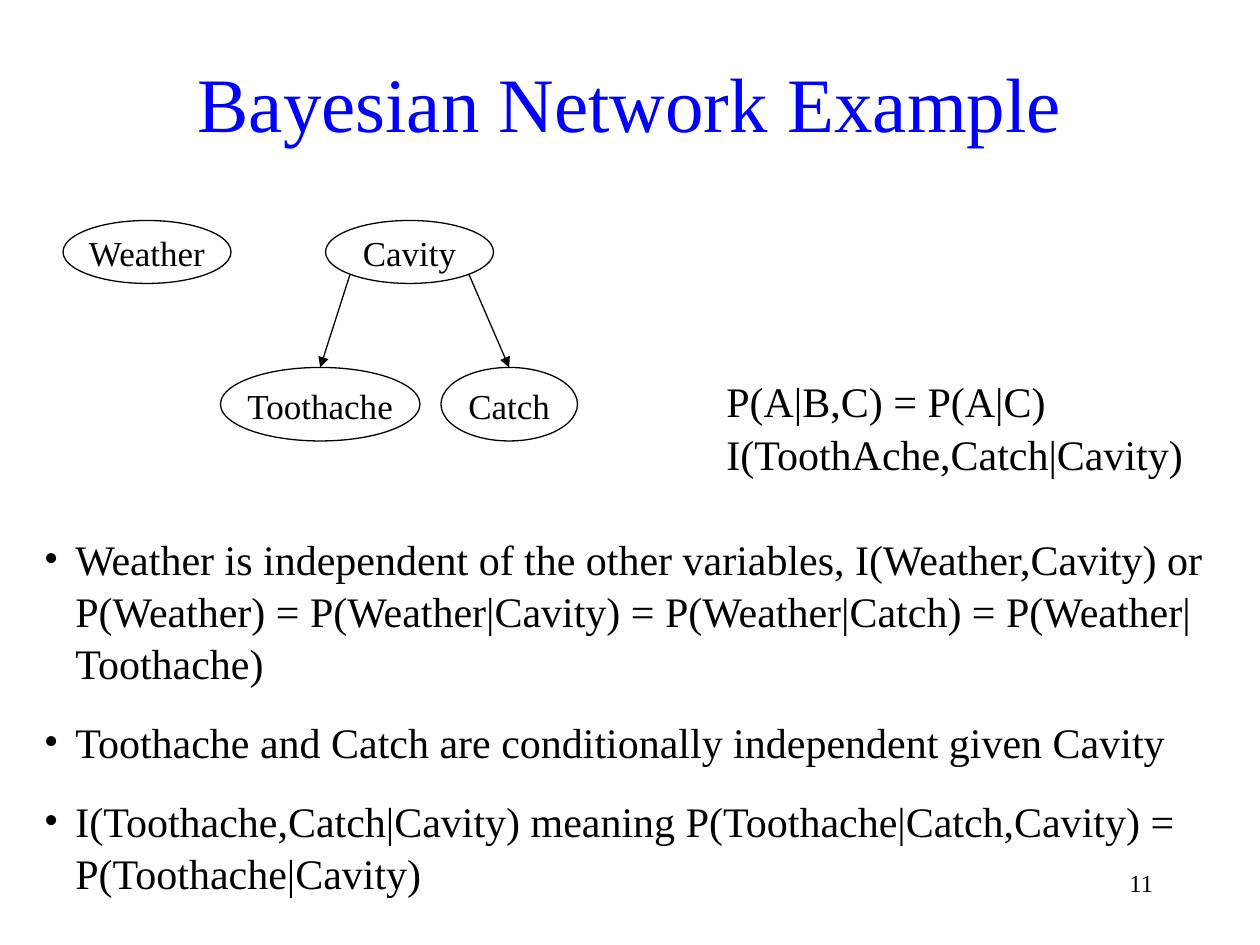
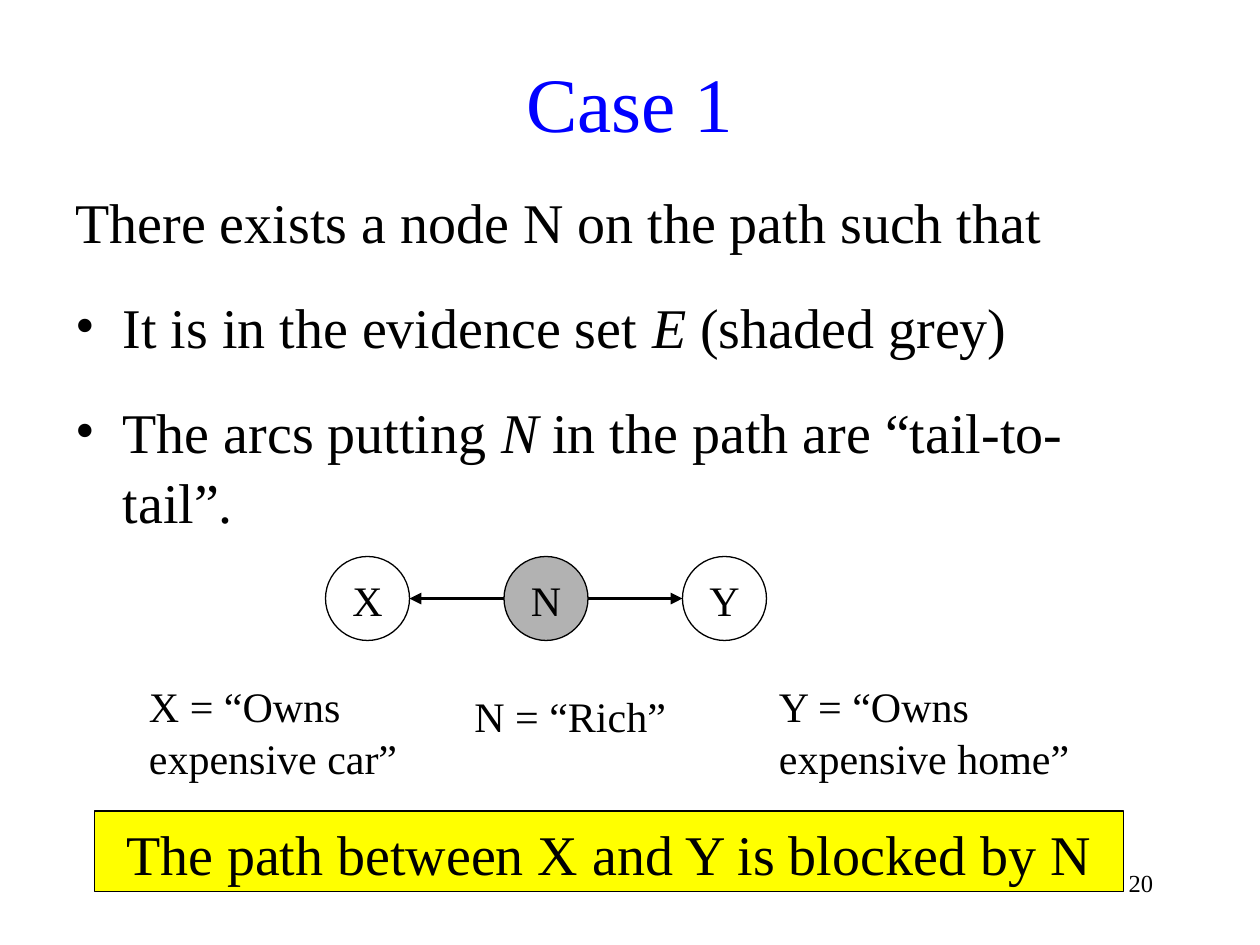
from dataclasses import dataclass
from math import sqrt

from lxml import etree
from pptx import Presentation
from pptx.dml.color import RGBColor
from pptx.enum import shapes, text
from pptx.oxml import ns
from pptx.util import Pt


@dataclass(frozen=True)
class Theme:
    font: str = "Times New Roman"
    ink: str = "000000"
    title: str = "0000FF"
    evidence: str = "B2B2B2"
    banner: str = "FFFF00"
    title_size: int = 44
    large: int = 32
    medium: int = 24
    small: int = 20
    number: int = 14
    leading: float = 1.04
    thin: float = 0.74
    thick: float = 2.24


T = Theme()
LEFT, CENTER, RIGHT = text.PP_ALIGN.LEFT, text.PP_ALIGN.CENTER, text.PP_ALIGN.RIGHT
TOP, MIDDLE = text.MSO_ANCHOR.TOP, text.MSO_ANCHOR.MIDDLE


def rgb(color):
    return RGBColor.from_string(color)


def fill_frame(sp, paragraphs, size, color=T.ink, align=LEFT, anchor=TOP,
               before=0, wrap=True):
    tf = sp.text_frame
    tf.word_wrap = wrap
    tf.vertical_anchor = anchor
    for i, runs in enumerate(paragraphs):
        p = tf.paragraphs[0] if i == 0 else tf.add_paragraph()
        p.alignment = align
        p.line_spacing = T.leading
        p.space_before = Pt(before)
        for j, words in enumerate([runs] if isinstance(runs, str) else runs):
            r = p.add_run()
            r.text = words
            r.font.name = T.font
            r.font.size = Pt(size)
            r.font.color.rgb = rgb(color)
            r.font.italic = j % 2 == 1
    return tf


def add_text(s, box, paragraphs, size, **style):
    sp = s.shapes.add_textbox(*map(Pt, box))
    return fill_frame(sp, paragraphs, size, **style)


def indent(p, amount, bullet=True):
    pPr = p._p.get_or_add_pPr()
    pPr.set("marL", str(Pt(amount)))
    pPr.set("indent", str(-Pt(amount)))
    if bullet:
        etree.SubElement(pPr, ns.qn("a:buFont")).set("typeface", T.font)
        etree.SubElement(pPr, ns.qn("a:buChar")).set("char", "•")


def add_box(s, kind, box, label, size, fill=None, **style):
    sp = s.shapes.add_shape(kind, *map(Pt, box))
    sp.shadow.inherit = False
    if fill:
        sp.fill.solid()
        sp.fill.fore_color.rgb = rgb(fill)
    else:
        sp.fill.background()
    sp.line.color.rgb = rgb(T.ink)
    sp.line.width = Pt(T.thin)
    fill_frame(sp, [label], size, align=CENTER, **style)


def add_node(s, box, label, size, fill=None):
    add_box(s, shapes.MSO_SHAPE.OVAL, box, label, size, fill,
            anchor=MIDDLE, wrap=False)


def add_arrow(s, start, end, width):
    c = s.shapes.add_connector(shapes.MSO_CONNECTOR.STRAIGHT,
                               *map(Pt, (*start, *end)))
    c.line.color.rgb = rgb(T.ink)
    c.line.width = Pt(width)
    etree.SubElement(c.line._get_or_add_ln(), ns.qn("a:tailEnd")).set("type", "triangle")
    etree.SubElement(c._element.spPr, ns.qn("a:effectLst"))


def add_slide(prs, title, number):
    s = prs.slides.add_slide(prs.slide_layouts[6])
    add_text(s, (588, 492, 78, 36), [number], T.number, align=RIGHT)
    add_text(s, (54, 12, 612, 90), [title], T.title_size, color=T.title,
             align=CENTER, anchor=MIDDLE)
    return s


def cavity_network(s, x, y):
    parent_w, parent_h = 96, 36
    child_y, child_h = y + 84, 42
    cavity_x = x + 150
    add_node(s, (x, y, parent_w, parent_h), "Weather", T.small)
    add_node(s, (cavity_x, y, parent_w, parent_h), "Cavity", T.small)
    for label, dx, w, side in (("Toothache", 90, 114, -1), ("Catch", 216, 78, 1)):
        add_node(s, (x + dx, child_y, w, child_h), label, T.small)
        start = (cavity_x + parent_w / 2 * (1 + side / sqrt(2)),
                 y + parent_h / 2 * (1 + 1 / sqrt(2)))
        add_arrow(s, start, (x + dx + w / 2, child_y), T.thin)


def tail_to_tail_path(s, x, y):
    d, pitch = 48, 102
    for i, label in enumerate("XNY"):
        add_node(s, (x + i * pitch, y, d, d), label, T.medium,
                 T.evidence if label == "N" else None)
    mid = y + d / 2
    add_arrow(s, (x + pitch, mid), (x + d, mid), T.thick)
    add_arrow(s, (x + pitch + d, mid), (x + 2 * pitch, mid), T.thick)


def network_slide(prs):
    s = add_slide(prs, "Bayesian Network Example", "11")
    cavity_network(s, 36, 126)
    tf = add_text(s, (18, 300, 678, 210), [
        "Weather is independent of the other variables, I(Weather,Cavity) or "
        "P(Weather) = P(Weather|Cavity) = P(Weather|Catch) = P(Weather|Toothache)",
        "Toothache and Catch are conditionally independent given Cavity",
        "I(Toothache,Catch|Cavity) meaning P(Toothache|Catch,Cavity) = "
        "P(Toothache|Cavity)",
    ], T.medium, before=15)
    for p in tf.paragraphs:
        indent(p, 18)
    add_text(s, (408, 210, 360, 64.8),
             ["P(A|B,C) = P(A|C)", "I(ToothAche,Catch|Cavity)"], T.medium)


def case_slide(prs):
    s = add_slide(prs, "Case 1", "20")
    tf = add_text(s, (36, 102, 624, 201), [
        "There exists a node N on the path such that",
        ("It is in the evidence set ", "E ", "(shaded grey)"),
        ("The arcs putting ", "N", " in the path are “tail-to-tail”."),
    ], T.large, before=20)
    for i, p in enumerate(tf.paragraphs):
        indent(p, 27, bullet=i > 0)
    tail_to_tail_path(s, 186, 318)
    add_box(s, shapes.MSO_SHAPE.RECTANGLE, (54, 463.5, 588, 46),
            "The path between X and Y is blocked by N", T.large, T.banner, before=20)
    for box, meaning in (
        ((78, 384, 162, 64.8), "X = “Owns expensive car”"),
        ((438, 384, 198, 64.8), "Y = “Owns expensive home”"),
        ((264, 390, 156, 36), "N = “Rich”"),
    ):
        add_text(s, box, [meaning], T.medium, before=15)


prs = Presentation()
prs.slide_width, prs.slide_height = Pt(720), Pt(540)
network_slide(prs)
case_slide(prs)
prs.save("out.pptx")
